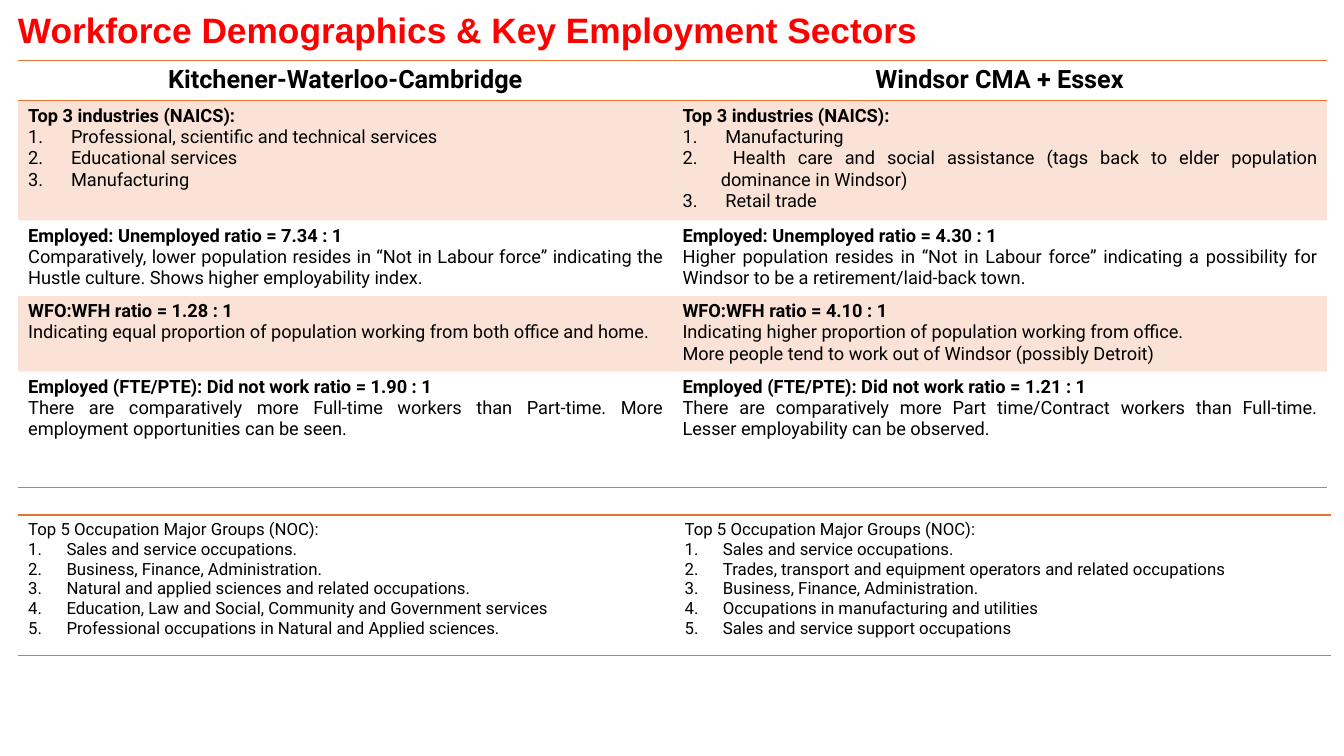
from lxml import etree
from pptx import Presentation
from pptx.dml.color import RGBColor
from pptx.enum import text
from pptx.oxml import ns
from pptx.util import Inches, Pt

RED = RGBColor(0xFF, 0x00, 0x00)
BLACK = RGBColor(0x00, 0x00, 0x00)
ORANGE = RGBColor(0xE9, 0x71, 0x32)
PLAIN_STYLE = "{2D5ABB26-0587-4C30-8999-92F81FD0307C}"
INDENT = Inches(0.38)

REGIONS = ["Kitchener-Waterloo-Cambridge", "Windsor CMA + Essex"]
INDUSTRIES_HEADING = "Top 3 industries (NAICS):"
INDUSTRIES = [
    [" Professional, scientific and technical services", " Educational services", " Manufacturing"],
    [" Manufacturing",
     " Health care and social assistance (tags back to elder population dominance in Windsor)",
     " Retail trade"],
]
RATIOS = [
    [("Employed: Unemployed ratio = 7.34 : 1",
      ["Comparatively, lower population resides in “Not in Labour force” indicating the "
       "Hustle culture. Shows higher employability index."]),
     ("Employed: Unemployed ratio = 4.30 : 1",
      ["Higher population resides in “Not in Labour force” indicating a possibility for "
       "Windsor to be a retirement/laid-back town."])],
    [("WFO:WFH ratio = 1.28 : 1",
      ["Indicating equal proportion of population working from both office and home."]),
     ("WFO:WFH ratio = 4.10 : 1",
      ["Indicating higher proportion of population working from office.",
       "More people tend to work out of Windsor (possibly Detroit)"])],
    [("Employed (FTE/PTE): Did not work ratio = 1.90 : 1",
      ["There are comparatively more Full-time workers than Part-time. "
       "More employment opportunities can be seen."]),
     ("Employed (FTE/PTE): Did not work ratio = 1.21 : 1",
      ["There are comparatively more Part time/Contract workers than Full-time. "
       "Lesser employability can be observed."])],
]
OCCUPATIONS_HEADING = "Top 5 Occupation Major Groups (NOC):"
OCCUPATIONS = [
    ["Sales and service occupations.",
     "Business, Finance, Administration.",
     "Natural and applied sciences and related occupations.",
     "Education, Law and Social, Community and Government services",
     "Professional occupations in Natural and Applied sciences."],
    ["Sales and service occupations.",
     "Trades, transport and equipment operators and related occupations",
     "Business, Finance, Administration.",
     "Occupations in manufacturing and utilities",
     "Sales and service support occupations"],
]


def style_runs(paragraph, size, bold=False, color=BLACK, font="Roboto"):
    for run in paragraph.runs:
        run.font.name = font
        run.font.size = Pt(size)
        run.font.bold = bold
        run.font.color.rgb = color


def number_paragraph(paragraph):
    properties = paragraph._p.get_or_add_pPr()
    properties.set("marL", str(INDENT))
    properties.set("indent", str(-INDENT))
    etree.SubElement(properties, ns.qn("a:buFont"), typeface="+mj-lt")
    etree.SubElement(properties, ns.qn("a:buAutoNum"), type="arabicPeriod")


def write_cell(cell, heading, lines, size, bold=True, numbered=False,
               align=text.PP_ALIGN.JUSTIFY):
    cell.text_frame.text = "\n".join([heading, *lines])
    for index, paragraph in enumerate(cell.text_frame.paragraphs):
        paragraph.alignment = align
        style_runs(paragraph, size, bold and index == 0)
        if numbered and index:
            number_paragraph(paragraph)


def rule_cell(cell, *edges):
    properties = cell._tc.get_or_add_tcPr()
    for edge in edges:
        line = etree.SubElement(properties, ns.qn(f"a:ln{edge}"), w=str(Pt(1)))
        fill = etree.SubElement(line, ns.qn("a:solidFill"))
        etree.SubElement(fill, ns.qn("a:srgbClr"), val=str(ORANGE))


def tint_cell(cell):
    cell.fill.solid()
    cell.fill.fore_color.rgb = ORANGE
    color = cell._tc.tcPr.find(".//" + ns.qn("a:solidFill") + "/" + ns.qn("a:srgbClr"))
    etree.SubElement(color, ns.qn("a:alpha"), val="20000")


def add_plain_table(slide, top, column_width, heights):
    frame = slide.shapes.add_table(len(heights), 2, Inches(0.18), Inches(top),
                                   Inches(2 * column_width), Inches(sum(heights)))
    table = frame.table
    table.first_row = False
    table.horz_banding = False
    table._tbl.tblPr.find(ns.qn("a:tableStyleId")).text = PLAIN_STYLE
    for column in table.columns:
        column.width = Inches(column_width)
    for row, height in zip(table.rows, heights):
        row.height = Inches(height)
    return table


def add_title(slide):
    title = slide.shapes.add_textbox(Inches(0.08), Inches(0.11), Inches(11.24), Inches(0.42))
    title.text_frame.word_wrap = True
    title.text_frame.vertical_anchor = text.MSO_ANCHOR.MIDDLE
    title.text_frame.text = "Workforce Demographics & Key Employment Sectors"
    heading = title.text_frame.paragraphs[0]
    heading.line_spacing = 0.9
    style_runs(heading, 25.2, True, RED, "Arial")


def add_demographics(slide):
    table = add_plain_table(slide, 0.6, 6.49, [0.4, 1.14, 0.73, 0.73, 1.15])
    last = len(table.rows) - 1
    for column, region in enumerate(REGIONS):
        write_cell(table.cell(0, column), region, [], 18, align=text.PP_ALIGN.CENTER)
        rule_cell(table.cell(0, column), "T", "B")
        write_cell(table.cell(1, column), INDUSTRIES_HEADING, INDUSTRIES[column], 13,
                   numbered=True)
        for row, ratios in enumerate(RATIOS, start=2):
            write_cell(table.cell(row, column), *ratios[column], 13)
        rule_cell(table.cell(last, column), "B")
        for row in range(last + 1):
            if row % 2:
                tint_cell(table.cell(row, column))
            else:
                table.cell(row, column).fill.background()


def add_occupations(slide):
    table = add_plain_table(slide, 5.11, 6.51, [1.39])
    for column, occupations in enumerate(OCCUPATIONS):
        cell = table.cell(0, column)
        write_cell(cell, OCCUPATIONS_HEADING, occupations, 12, bold=False, numbered=True)
        rule_cell(cell, "T", "B")
        cell.fill.background()


def main():
    deck = Presentation()
    deck.slide_width = Inches(13.33)
    deck.slide_height = Inches(7.5)
    slide = deck.slides.add_slide(deck.slide_layouts[6])
    add_title(slide)
    add_demographics(slide)
    add_occupations(slide)
    deck.save("out.pptx")


if __name__ == "__main__":
    main()
